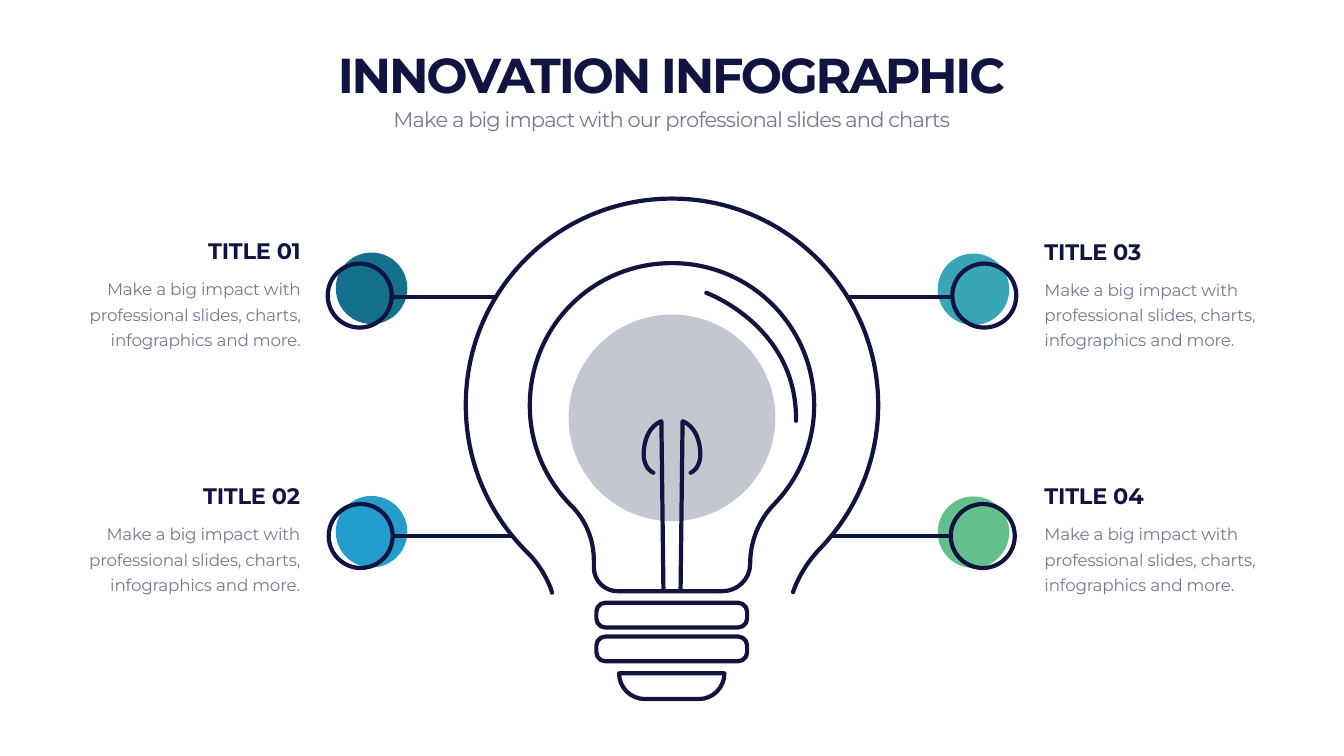
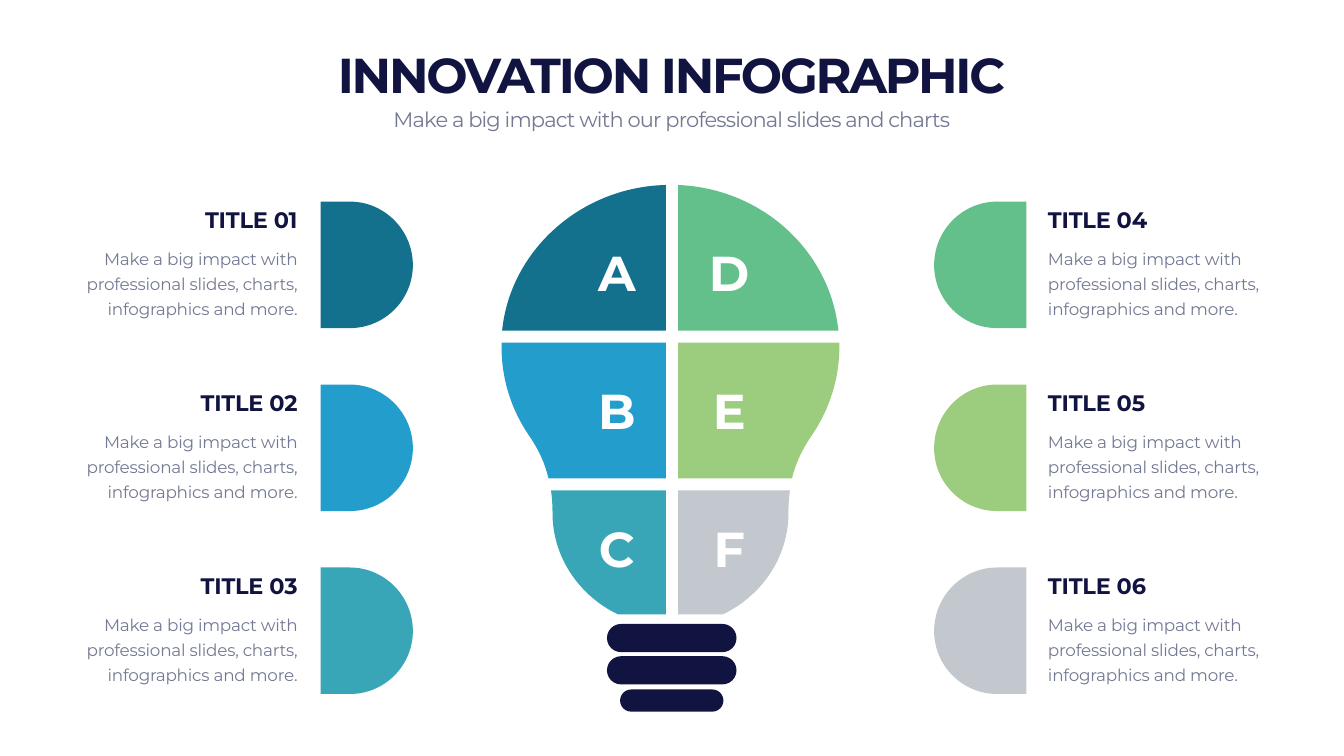
from lxml import etree
from pptx import Presentation
from pptx.dml.color import RGBColor
from pptx.enum.shapes import MSO_CONNECTOR, MSO_SHAPE
from pptx.enum.text import MSO_ANCHOR, MSO_AUTO_SIZE, PP_ALIGN
from pptx.oxml.ns import qn
from pptx.util import Pt

PX = 9144  # one px is a hundredth of an inch
WIDE, HIGH = 2666, 1500
FONT = "Montserrat"
NAVY, SLATE, WHITE, GREY = "111340", "747993", "FFFFFF", "C3C8CE"
TEAL, BLUE, AQUA, GREEN, LIME = "14718E", "229DCC", "38A6B6", "63C08A", "9CCC7D"
LEFT, MID, RIGHT = PP_ALIGN.LEFT, PP_ALIGN.CENTER, PP_ALIGN.RIGHT
TOP, LOW = MSO_ANCHOR.TOP, MSO_ANCHOR.BOTTOM
GROW = MSO_AUTO_SIZE.SHAPE_TO_FIT_TEXT
OVAL, PILL = MSO_SHAPE.OVAL, MSO_SHAPE.ROUNDED_RECTANGLE
WIRE = MSO_CONNECTOR.STRAIGHT
BODY = "Make a big impact with professional slides, charts, infographics and more."


def paint(item, fill=None, line=None):
    """Set fill and line, without a shadow."""
    if fill:
        item.fill.solid()
        item.fill.fore_color.rgb = RGBColor.from_string(fill)
    elif hasattr(item, "fill"):
        item.fill.background()
    if line:
        item.line.color.rgb = RGBColor.from_string(line)
        item.line.width = Pt(6)
        edge = item.element.spPr.find(qn("a:ln"))
        edge.set("cap", "rnd")
        etree.SubElement(edge, qn("a:round"))
    else:
        item.line.fill.background()
    etree.SubElement(item.element.spPr, qn("a:effectLst"))


def write(box, spot, text, size, tone, align, anchor=LOW, bold=True, gap=-0.3, lead=None):
    """Place a text holder and fill it with one run."""
    box.left, box.top, box.width, box.height = [v * PX for v in spot]
    frame = box.text_frame
    frame.word_wrap = True
    frame.auto_size = GROW
    frame.vertical_anchor = anchor
    para = frame.paragraphs[0]
    para.alignment = align
    para.space_before = Pt(0)
    if lead:
        para.line_spacing = Pt(lead)
    run = para.add_run()
    run.text = text
    run.font.name, run.font.size, run.font.bold = FONT, Pt(size), bold
    run.font.color.rgb = RGBColor.from_string(tone)
    run.font._element.set("spc", str(round(gap * 100)))


deck = Presentation()
deck.slide_width, deck.slide_height = WIDE * PX, HIGH * PX

# Shared heading
pages = []
for _ in range(2):
    page = deck.slides.add_slide(deck.slide_layouts[0])
    write(page.shapes.title, (166, 82, 2333, 128), "INNOVATION INFOGRAPHIC",
          70, NAVY, MID, gap=-3.1)
    write(page.placeholders[1], (166, 206, 2333, 61),
          "Make a big impact with our professional slides and charts",
          30, SLATE, MID, TOP, False, -1.2)
    pages.append(page)
one, two = pages

# Glow behind the line bulb
glow = one.shapes.add_shape(OVAL, 1128 * PX, 624 * PX, 410 * PX, 410 * PX)
paint(glow, GREY)

# Outlines: a start point, then lines (2 numbers) and curves (6 numbers)
glass = [(1615, 804), (1615, 648, 1489, 522, 1333, 522),
         (1177, 522, 1052, 646, 1051, 802), (1050, 881, 1082, 952, 1134, 1004),
         (1162, 1032, 1178, 1071, 1178, 1112), (1178, 1126),
         (1178, 1152, 1199, 1173, 1225, 1173), (1433, 1173),
         (1463, 1173, 1488, 1149, 1488, 1119), (1488, 1074, 1505, 1032, 1536, 1000),
         (1585, 949, 1615, 880, 1615, 804)]
shell = [(1573, 1175), (1584, 1143, 1603, 1113, 1628, 1087),
         (1698, 1014, 1742, 914, 1742, 804), (1742, 578, 1559, 394, 1333, 394),
         (1107, 394, 925, 575, 924, 801), (923, 915, 969, 1019, 1044, 1094),
         (1065, 1114, 1081, 1139, 1092, 1166), (1093, 1169, 1094, 1172, 1095, 1176)]
cup = [(1387, 1387), (1279, 1387), (1251, 1387, 1228, 1364, 1228, 1336),
       (1437, 1336), (1437, 1364, 1414, 1387, 1387, 1387)]
shine = [(1401, 581), (1401, 581, 1582, 647, 1579, 835)]
wick = [(1316, 1170), (1312, 836), (1312, 836, 1285, 843, 1278, 886),
        (1271, 929, 1296, 938, 1296, 938)]
twin = [tuple(v if i % 2 else WIDE - v for i, v in enumerate(seg)) for seg in wick]

# Bulb pieces with letter and colour, down the left side and then the right
parts = [
    ("A", TEAL, [(1321, 367), (1152, 371, 1012, 497, 996, 656), (1321, 656)]),
    ("B", BLUE, [(1321, 680), (995, 680), (995, 683, 995, 686, 995, 689),
                 (995, 754, 1015, 814, 1050, 865), (1068, 891, 1081, 919, 1088, 949),
                 (1321, 949)]),
    ("C", AQUA, [(1321, 973), (1093, 973), (1095, 987, 1096, 1002, 1096, 1016),
                 (1096, 1018, 1096, 1019, 1096, 1021),
                 (1097, 1107, 1150, 1183, 1226, 1219), (1321, 1219)]),
    ("D", GREEN, [(1345, 367), (1345, 656), (1663, 656),
                  (1647, 498, 1512, 374, 1345, 367)]),
    ("E", LIME, [(1665, 680), (1345, 680), (1345, 949), (1571, 949),
                 (1578, 920, 1591, 892, 1609, 866), (1644, 815, 1665, 754, 1665, 688),
                 (1665, 685, 1665, 682, 1665, 680)]),
    ("F", GREY, [(1564, 1018), (1564, 1017, 1564, 1015, 1564, 1014),
                 (1564, 1000, 1565, 986, 1567, 973), (1345, 973), (1345, 1219),
                 (1434, 1219), (1511, 1182, 1564, 1106, 1564, 1018)]),
]
forms = [(one, None, NAVY, segs) for segs in (glass, shell, cup, shine, wick, twin)]
forms += [(two, tone, None, segs) for _, tone, segs in parts]

# Half-round tabs beside the notes, mirrored on the right
for n, (_, tone, _) in enumerate(parts):
    side, row = divmod(n, 3)
    base, way = (2036, -1) if side else (636, 1)
    y = 400 + 363 * row
    flat, bend, tip = [base + way * d for d in (58, 127, 183)]
    forms.append((two, tone, None, [
        (flat, y + 251), (base, y + 251), (base, y), (flat, y),
        (bend, y, tip, y + 57, tip, y + 126),
        (tip, y + 195, bend, y + 251, flat, y + 251)]))

# Draw every outline, turning triples of points into curves
for page, fill, line, segs in forms:
    dots = [dot for seg in segs for dot in zip(seg[::2], seg[1::2])]
    pen = page.shapes.build_freeform(*dots[0], scale=PX)
    pen.add_line_segments(dots[1:], close=bool(fill) or dots[0] == dots[-1])
    form = pen.convert_to_shape()
    track = form.element.find(".//" + qn("a:path"))
    steps = iter(track.findall(qn("a:lnTo")))
    for seg in segs[1:]:
        step = next(steps)
        if len(seg) == 6:
            step.tag = qn("a:cubicBezTo")
            for _ in range(2):
                more = next(steps)
                step.append(more[0])
                track.remove(more)
    paint(form, fill, line)

# Screw bases of both bulbs
bases = [(one, 1183, 1196, 299, 49, 0.36, None, NAVY),
         (one, 1183, 1263, 299, 49, 0.36, None, NAVY),
         (two, 1204, 1238, 257, 56, 0.5, NAVY, None),
         (two, 1204, 1302, 257, 56, 0.5, NAVY, None),
         (two, 1230, 1368, 205, 44, 0.5, NAVY, None)]
for page, x, y, w, h, bend, fill, line in bases:
    band = page.shapes.add_shape(PILL, x * PX, y * PX, w * PX, h * PX)
    band.adjustments[0] = bend
    paint(band, fill, line)

# Arms of the line bulb: disc, wire and ring
notes = []
arms = [(TEAL, 666, 501, 983, 776, 590, 650, 523, 134, 465),
        (BLUE, 666, 984, 1016, 780, 1064, 652, 1000, 133, 951),
        (AQUA, 1860, 503, 1683, 1889, 590, 1889, 523, 2062, 466),
        (GREEN, 1860, 985, 1651, 1887, 1064, 1886, 1000, 2062, 951)]
for n, (tone, dx, dy, start, end, wy, rx, ry, x, y) in enumerate(arms, 1):
    disc = one.shapes.add_shape(OVAL, dx * PX, dy * PX, 142 * PX, 142 * PX)
    paint(disc, tone)
    wire = one.shapes.add_connector(WIRE, start * PX, wy * PX, end * PX, wy * PX)
    paint(wire, line=NAVY)
    ring = one.shapes.add_shape(OVAL, rx * PX, ry * PX, 127 * PX, 127 * PX)
    paint(ring, line=NAVY)
    notes.append((one, n, x, y, 472))

# Letters on the bulb pieces
for n, (mark, _, _) in enumerate(parts):
    side, row = divmod(n, 3)
    spot = ((1138, 1361)[side], (475, 749, 1022)[row], 171, 128)
    write(two.shapes.add_textbox(0, 0, 0, 0), spot, mark, 70, WHITE, MID)
    notes.append((two, n + 1, (126, 2069)[side], 404 + 363 * row, 474))

# Notes on both slides
for page, n, x, y, w in notes:
    align = RIGHT if x < WIDE / 2 else LEFT
    write(page.shapes.add_textbox(0, 0, 0, 0), (x, y, w, 64),
          f"TITLE {n:02}", 32, NAVY, align)
    write(page.shapes.add_textbox(0, 0, 0, 0), (x, y + 74, w, 157),
          BODY, 24, SLATE, align, TOP, False, lead=36)

deck.save("out.pptx")
